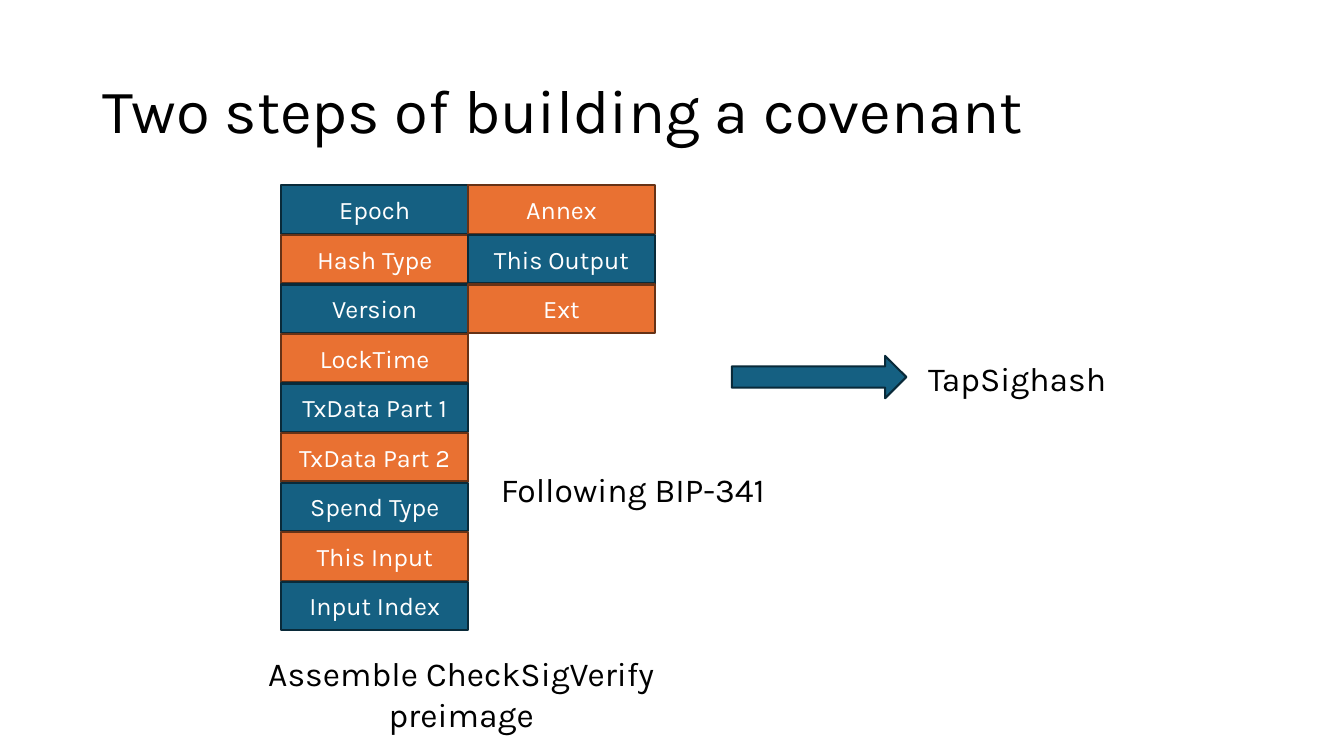
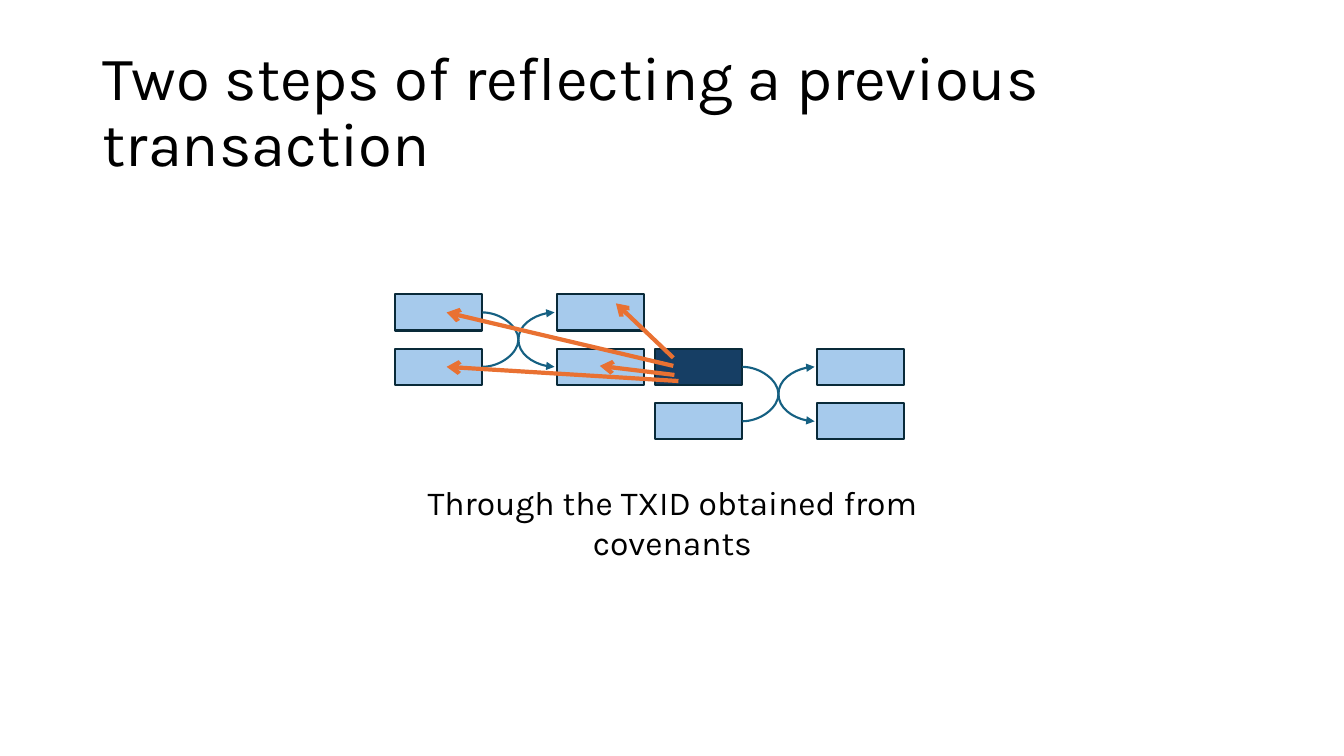
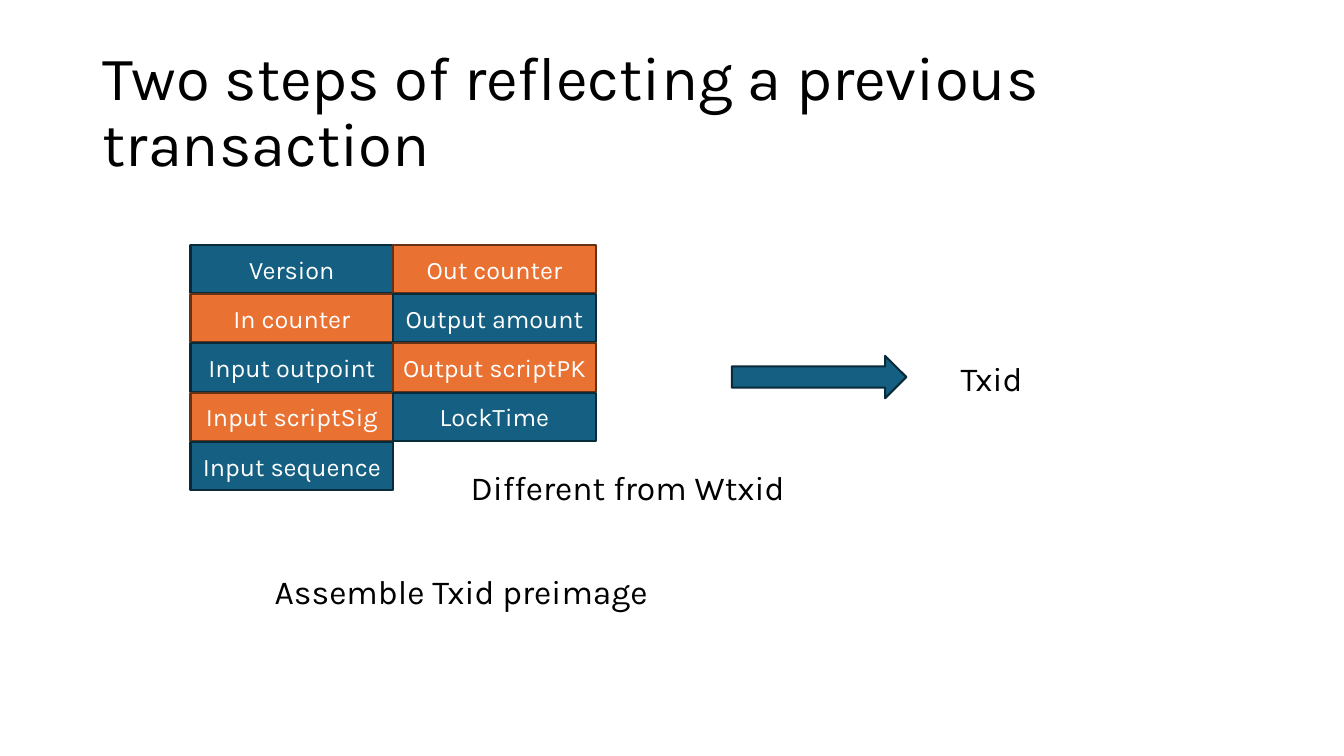
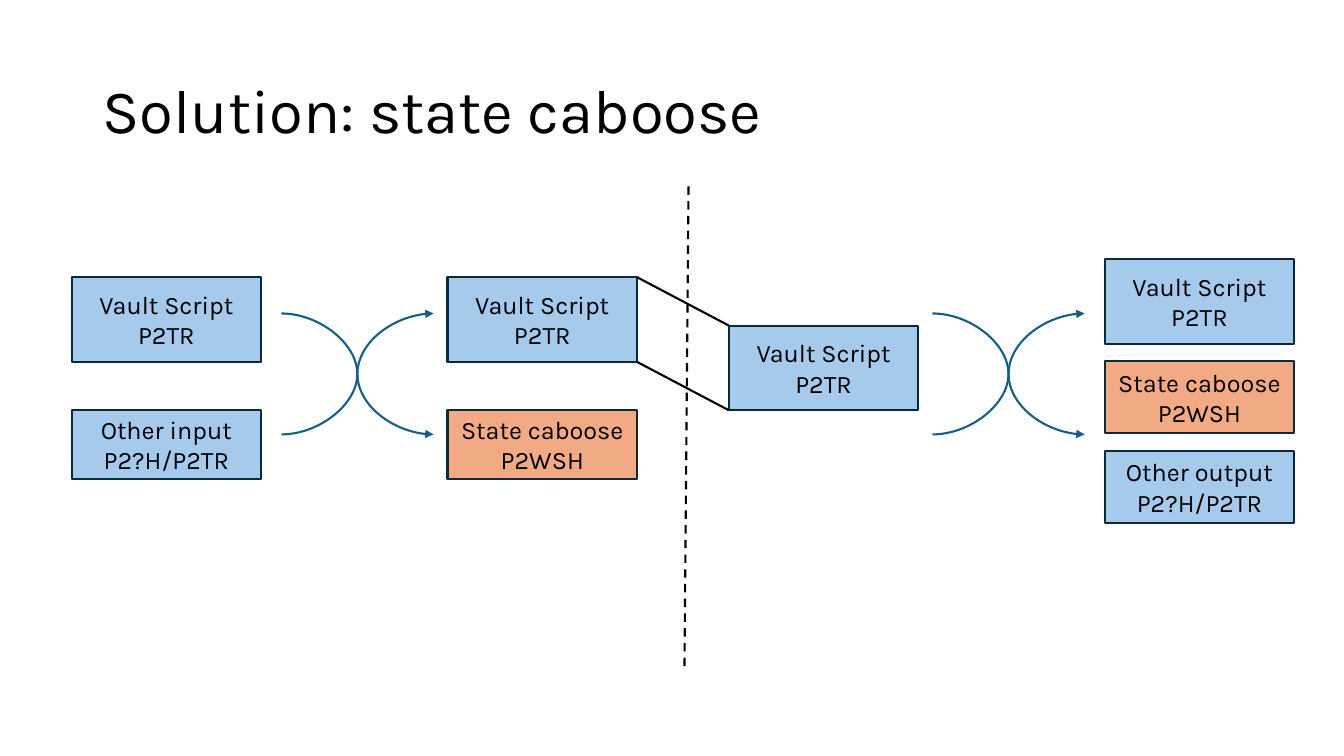
import lxml.etree
import pptx
import pptx.dml.color
import pptx.enum.dml
import pptx.enum.shapes
import pptx.enum.text
import pptx.oxml.ns
import pptx.util

RGBColor = pptx.dml.color.RGBColor
BLACK = RGBColor(0x00, 0x00, 0x00)
WHITE = RGBColor(0xFF, 0xFF, 0xFF)
TEAL = RGBColor(0x15, 0x60, 0x82)
INK = RGBColor(0x09, 0x2A, 0x39)
ORANGE = RGBColor(0xE9, 0x71, 0x32)
BROWN = RGBColor(0x66, 0x32, 0x16)
SKY = RGBColor(0xA6, 0xCA, 0xEC)
NAVY = RGBColor(0x16, 0x3E, 0x64)
PEACH = RGBColor(0xF2, 0xAA, 0x84)

FONT = "Karla"
WIDTH = pptx.util.Inches(13.33)
HEIGHT = pptx.util.Inches(7.5)
INSET = pptx.util.Inches(0.05)
TITLE = (6.9, 5.33, 86.25, 19.33)
ARROW = (54.45, 47.07, 12.98, 5.6)

KIND = pptx.enum.shapes.MSO_SHAPE
JOIN = pptx.enum.shapes.MSO_CONNECTOR
ALIGN = pptx.enum.text.PP_ALIGN
MIDDLE = pptx.enum.text.MSO_ANCHOR.MIDDLE
GROW = pptx.enum.text.MSO_AUTO_SIZE.SHAPE_TO_FIT_TEXT


def emu(*shares):
    """Turn x, y pairs given in percent of the slide into lengths."""
    return [round(share * (HEIGHT if i % 2 else WIDTH) / 100)
            for i, share in enumerate(shares)]


def part(box, x, y, w, h):
    """Box that takes the given fractions of another box."""
    left, top, width, height = box
    return left + x * width, top + y * height, w * width, h * height


def write(frame, text, size=18, color=BLACK, align=ALIGN.CENTER, space=None):
    frame.word_wrap = True
    for i, line in enumerate(text.split("\n")):
        para = frame.add_paragraph() if i else frame.paragraphs[0]
        para.alignment = align
        para.line_spacing = space
        run = para.add_run()
        run.text = line
        run.font.name = FONT
        run.font.size = pptx.util.Pt(size)
        run.font.color.rgb = color


def label(slide, box, text, align=ALIGN.CENTER):
    frame = slide.shapes.add_textbox(*emu(*box)).text_frame
    write(frame, text, size=24, align=align)
    frame.auto_size = GROW


def block(slide, box, fill, text="", edge=INK, color=BLACK, kind=KIND.RECTANGLE):
    shape = slide.shapes.add_shape(kind, *emu(*box))
    shape.shadow.inherit = False
    shape.fill.solid()
    shape.fill.fore_color.rgb = fill
    shape.line.color.rgb = edge
    shape.line.width = pptx.util.Pt(1.5)
    if text:
        frame = shape.text_frame
        frame.vertical_anchor = MIDDLE
        frame.margin_left = frame.margin_right = INSET
        write(frame, text, color=color)


def link(slide, start, end, color=BLACK, width=1.5, kind=JOIN.STRAIGHT,
         tip=None, dash=False):
    line = slide.shapes.add_connector(kind, *emu(*start, *end))
    line.line.color.rgb = color
    line.line.width = pptx.util.Pt(width)
    if dash:
        line.line.dash_style = pptx.enum.dml.MSO_LINE.DASH
    qn = pptx.oxml.ns.qn
    props = line.element.spPr
    if tip:
        lxml.etree.SubElement(props.find(qn("a:ln")), qn("a:tailEnd"), type=tip)
    lxml.etree.SubElement(props, qn("a:effectLst"))


def cross(slide, box):
    """Two curved arrows that swap the upper and lower rows."""
    x, y, w, h = box
    for start, end in ((y, y + h), (y + h, y)):
        link(slide, (x, start), (x + w, end), color=TEAL,
             kind=JOIN.CURVE, tip="triangle")


def trade(slide, box, first=SKY):
    """Transaction with two inputs and two outputs."""
    for col in (0, 0.65):
        for row in (0, 0.6):
            fill = SKY if col or row else first
            block(slide, part(box, col, row, 0.35, 0.4), fill)
    cross(slide, part(box, 0.35, 0.2, 0.29, 0.6))


def stack(slide, box, columns):
    """Columns of fields whose colours alternate like a checkerboard."""
    wide = 1 / len(columns)
    high = 1 / max(map(len, columns))
    for col, fields in enumerate(columns):
        for row, field in enumerate(fields):
            fill, edge = ((TEAL, INK), (ORANGE, BROWN))[(row + col) % 2]
            cell = part(box, col * wide, row * high, wide, 0.98 * high)
            block(slide, cell, fill, field, edge=edge, color=WHITE)


def start(deck, title):
    slide = deck.slides.add_slide(deck.slide_layouts[6])
    frame = slide.shapes.add_textbox(*emu(*TITLE)).text_frame
    frame.vertical_anchor = MIDDLE
    write(frame, title, size=44, align=ALIGN.LEFT, space=0.9)
    return slide


def hashing(deck, title, box, columns, labels):
    """Slide on which a stack of fields is hashed into a result."""
    slide = start(deck, title)
    stack(slide, box, columns)
    block(slide, ARROW, TEAL, kind=KIND.RIGHT_ARROW)
    for place, text, align in labels:
        label(slide, place, text, align)


def reflect(deck, title):
    slide = start(deck, title)
    trade(slide, (48.75, 46.13, 18.53, 12), first=NAVY)
    trade(slide, (29.4, 38.93, 18.53, 12))
    for tail, head in (
        ((50.1, 47.33), (45.83, 40.13)),
        ((50.18, 49.6), (44.63, 48.4)),
        ((50.1, 48.4), (33.23, 41.33)),
        ((50.48, 50.4), (33.23, 48.53)),
    ):
        link(slide, tail, head, color=ORANGE, width=3, tip="arrow")
    label(slide, (26.18, 63.07, 47.7, 6.67),
          "Through the TXID obtained from covenants")


def caboose(deck, title):
    slide = start(deck, title)
    wide, tall = 14.1, 11.2
    ins, outs, spent, last = 5.33, 33.3, 54.23, 82.2
    upper, lower, vault = 36.67, 54.27, 43.07
    for x, y, h, text, fill in (
        (ins, upper, tall, "Vault Script\nP2TR", SKY),
        (ins, lower, 9.07, "Other input\nP2?H/P2TR", SKY),
        (outs, upper, tall, "Vault Script\nP2TR", SKY),
        (outs, lower, 9.07, "State caboose P2WSH", PEACH),
        (spent, vault, tall, "Vault Script\nP2TR", SKY),
        (last, 34.27, tall, "Vault Script\nP2TR", SKY),
        (last, 47.73, 9.6, "State caboose\nP2WSH", PEACH),
        (last, 59.6, 9.6, "Other output\nP2?H/P2TR", SKY),
    ):
        block(slide, (x, y, wide, h), fill, text)
    for x in (20.93, 69.38):
        cross(slide, (x, 41.47, 11.33, 16))
    link(slide, (51.23, 24.67), (50.93, 88.53), dash=True)
    for drop in (0, tall):
        link(slide, (outs + wide, upper + drop), (spent, vault + drop))


def main():
    deck = pptx.Presentation()
    deck.slide_width, deck.slide_height = WIDTH, HEIGHT
    mirror = "Two steps of reflecting a previous transaction"
    hashing(
        deck, "Two steps of building a covenant", (20.93, 24.53, 27.8, 58.95),
        (("Epoch", "Hash Type", "Version", "LockTime", "TxData Part 1",
          "TxData Part 2", "Spend Type", "This Input", "Input Index"),
         ("Annex", "This Output", "Ext")),
        (((14.18, 85.73, 40.28, 6.67), "Assemble CheckSigVerify preimage", ALIGN.CENTER),
         ((36.53, 61.33, 22.05, 6.67), "Following BIP-341", ALIGN.LEFT),
         ((67.35, 46.67, 16.65, 6.67), "TapSighash", ALIGN.CENTER)))
    reflect(deck, mirror)
    hashing(
        deck, mirror, (14.18, 32.4, 30.15, 32.55),
        (("Version", "In counter", "Input outpoint", "Input scriptSig",
          "Input sequence"),
         ("Out counter", "Output amount", "Output scriptPK", "LockTime")),
        (((14.18, 74.8, 40.28, 6.67), "Assemble Txid preimage", ALIGN.CENTER),
         ((34.28, 61.07, 25.43, 6.67), "Different from Wtxid", ALIGN.LEFT),
         ((70.73, 46.67, 7.13, 6.67), "Txid", ALIGN.LEFT)))
    caboose(deck, "Solution: state caboose")
    deck.save("out.pptx")


if __name__ == "__main__":
    main()
